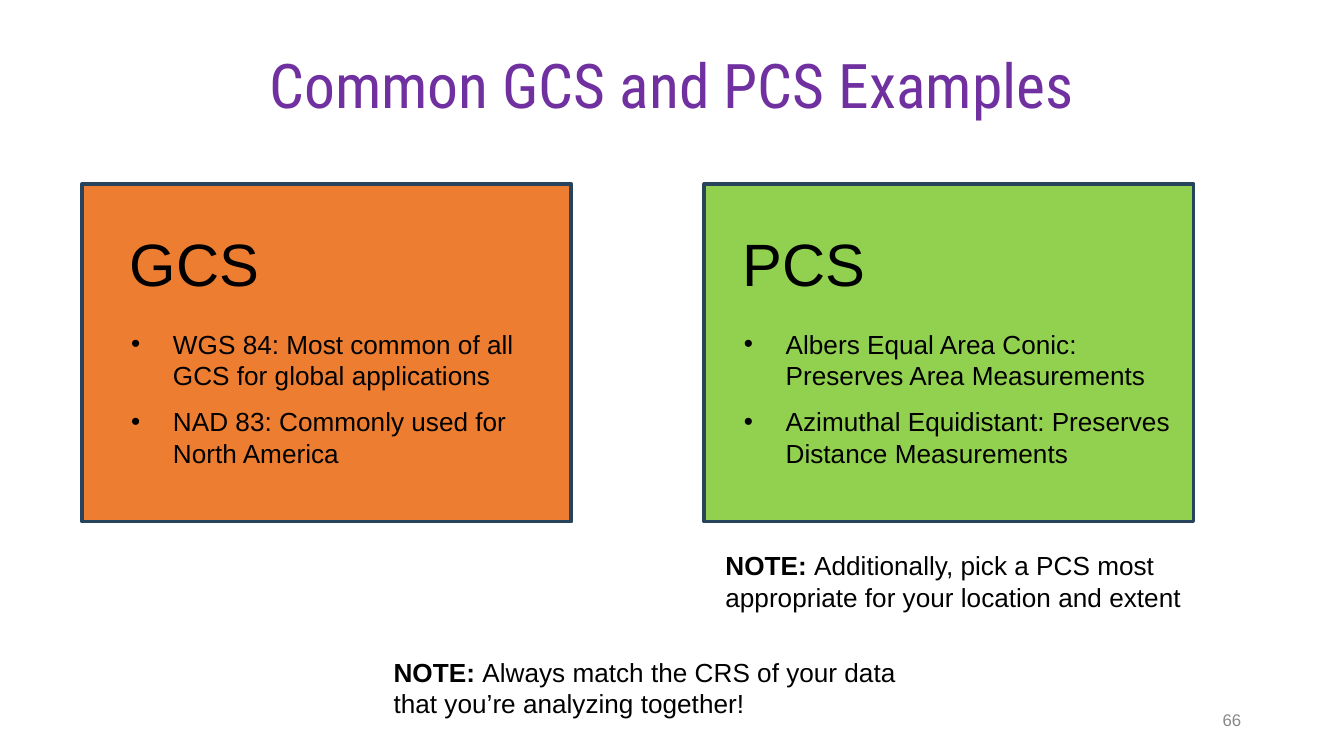
from pptx import Presentation
from pptx.dml.color import RGBColor
from pptx.enum import shapes, text
from pptx.util import Cm, Pt
from lxml import etree

BLACK = RGBColor(0, 0, 0)
PURPLE = RGBColor(0x70, 0x30, 0xA0)
ORANGE = RGBColor(0xED, 0x7D, 0x31)
GREEN = RGBColor(0x92, 0xD0, 0x50)
NAVY = RGBColor(0x28, 0x44, 0x5D)
GRAY = RGBColor(0x88, 0x88, 0x88)

TITLE = "Common GCS and PCS Examples"
PAGE = "66"
# heading, fill, left of card, left of its text, points (cm)
CARDS = [
    ("GCS", ORANGE, 1.55, 2.06,
     ["WGS 84: Most common of all GCS for global applications",
      "NAD 83: Commonly used for North America"]),
    ("PCS", GREEN, 13.31, 13.64,
     ["Albers Equal Area Conic: Preserves Area Measurements",
      "Azimuthal Equidistant: Preserves Distance Measurements"]),
]
# left, top (cm), wording
NOTES = [
    (13.46, 10.26, "Additionally, pick a PCS most appropriate for your location and extent"),
    (7.19, 12.27, "Always match the CRS of your data that you’re analyzing together!"),
]
TOP, WIDE, HIGH = 3.48, 9.25, 6.38
INSET = (0.19, 0.1)

deck = Presentation()
deck.slide_width, deck.slide_height = Cm(25.4), Cm(14.29)
slide = deck.slides.add_slide(deck.slide_layouts[6])


def add_text(left, top, wide, high, lines, size, color=BLACK,
             face="Arial", inset=INSET, bullet=False):
    """Add a wrapped text box with one paragraph for each line."""
    box = slide.shapes.add_textbox(Cm(left), Cm(top), Cm(wide), Cm(high))
    frame = box.text_frame
    frame.word_wrap = True
    frame.margin_left = frame.margin_right = Cm(inset[0])
    frame.margin_top = frame.margin_bottom = Cm(inset[1])
    for n, line in enumerate(lines):
        para = frame.paragraphs[0] if n == 0 else frame.add_paragraph()
        if n:
            para.space_before = Pt(8)
        if bullet:
            add_bullet(para)
        para.text = line
        font = para.font
        font.name, font.size, font.color.rgb = face, Pt(size), color
    return frame


def add_bullet(para):
    props = para._p.get_or_add_pPr()
    props.set("marL", str(Cm(1.02)))
    props.set("indent", str(Cm(-0.79)))
    space = "{http://schemas.openxmlformats.org/drawingml/2006/main}"
    etree.SubElement(props, space + "buFont", typeface="Arial")
    etree.SubElement(props, space + "buChar", char="•")


title = add_text(0.56, 0.28, 24.28, 2.77, [TITLE], 33, PURPLE, "Roboto Condensed")
title.vertical_anchor = text.MSO_ANCHOR.MIDDLE
title.paragraphs[0].alignment = text.PP_ALIGN.CENTER
title.paragraphs[0].line_spacing = 0.9

for head, fill, left, inner, points in CARDS:
    card = slide.shapes.add_shape(shapes.MSO_SHAPE.RECTANGLE,
                                  Cm(left), Cm(TOP), Cm(WIDE), Cm(HIGH))
    card.shadow.inherit = False
    card.fill.solid()
    card.fill.fore_color.rgb = fill
    card.line.color.rgb = NAVY
    card.line.width = Pt(2)
    add_text(inner, TOP + 0.63, 4.11, 2.77, [head], 32, inset=(0.39, 0.18))
    add_text(inner, TOP + 2.62, 8.74, 2.77, points, 14, bullet=True)

for left, top, words in NOTES:
    note = add_text(left, top, 10.74, 1.45, [""], 14, inset=(0.25, 0.13))
    para = note.paragraphs[0]
    label = para.add_run()
    label.text, label.font.bold = "NOTE: ", True
    para.add_run().text = words

page = add_text(17.93, 13.23, 5.72, 0.76, [PAGE], 9, GRAY)
page.vertical_anchor = text.MSO_ANCHOR.MIDDLE
page.paragraphs[0].alignment = text.PP_ALIGN.RIGHT

deck.save("out.pptx")
